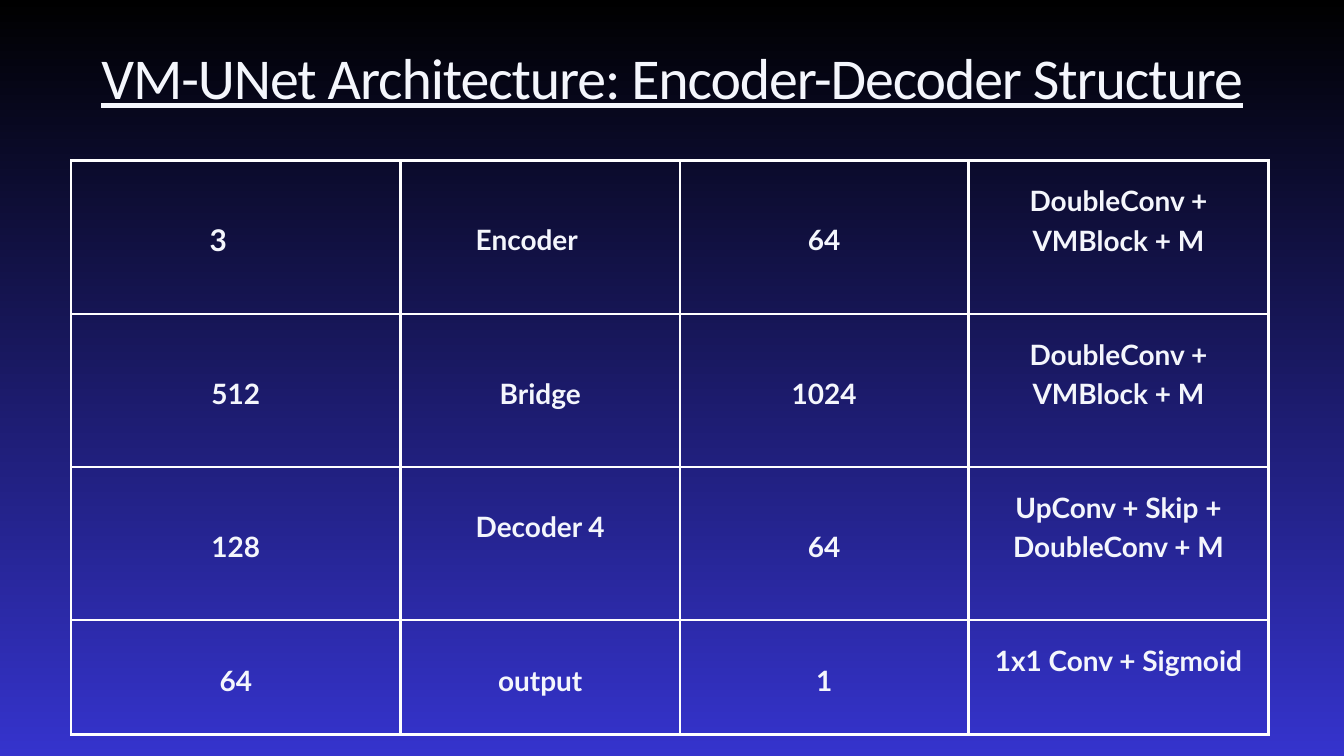
import dataclasses

import lxml.etree
import pptx
import pptx.dml.color
import pptx.enum.text
import pptx.oxml.ns
import pptx.util

Inches = pptx.util.Inches
Pt = pptx.util.Pt
RGB = pptx.dml.color.RGBColor.from_string
CENTER = pptx.enum.text.PP_ALIGN.CENTER
LEFT = pptx.enum.text.PP_ALIGN.LEFT


@dataclasses.dataclass(frozen=True)
class Theme:
    top: str = "000000"
    bottom: str = "3533CD"
    text: str = "F4F6FC"
    border: str = "FFFFFF"
    border_width: float = 2.9
    title_font: str = "Calibri"
    title_size: float = 61.9
    title_leading: float = 80.5
    title_tracking: float = -1.2
    cell_font: str = "Lato"
    cell_size: float = 30
    first_size: float = 32
    leading: float = 1.4
    inset: float = 0.2


THEME = Theme()
COLUMNS = [4.9, 4.16, 4.29, 4.47]
ROWS = [2.28, 2.28, 2.28, 1.7]
LAYERS = [
    ["3", "Encoder", "64", "DoubleConv + VMBlock + M"],
    ["512", "Bridge", "1024", "DoubleConv + VMBlock + M"],
    ["128", "Decoder 4", "64", "UpConv + Skip + DoubleConv + M"],
    ["64", "output", "1", "1x1 Conv + Sigmoid"],
]
# Left-aligned cells with their left margins, and cells whose text is raised
INDENTS = {(0, 0): 2.06, (0, 1): 1.12}
RAISED = {(2, 1)} | {(row, 3) for row in range(len(ROWS))}
RAISED_MARGIN = 0.78


def paint_background(page):
    fill = page.background.fill
    fill.gradient()
    fill.gradient_angle = 270
    for stop, color in zip(fill.gradient_stops, (THEME.top, THEME.bottom)):
        stop.color.rgb = RGB(color)
    fill.gradient_stops[0].position = 0
    fill.gradient_stops[1].position = 1


def style_paragraph(para, font, size, leading, align):
    para.alignment = align
    para.line_spacing = Pt(leading)
    para.font.name = font
    para.font.size = Pt(size)
    para.font.color.rgb = RGB(THEME.text)


def add_title(page, text, left, top, width, height):
    box = page.shapes.add_textbox(*map(Inches, (left, top, width, height)))
    frame = box.text_frame
    frame.word_wrap = True
    frame.margin_left = frame.margin_right = 0
    frame.margin_top = frame.margin_bottom = 0
    para = frame.paragraphs[0]
    style_paragraph(para, THEME.title_font, THEME.title_size,
                    THEME.title_leading, CENTER)
    para.font.underline = True
    span = para.add_run()
    span.text = text
    span._r.get_or_add_rPr().set("spc", str(round(THEME.title_tracking * 100)))


def add_borders(cell):
    # Border lines come before the fill in the cell properties
    properties = cell._tc.get_or_add_tcPr()
    qn = pptx.oxml.ns.qn
    for index, side in enumerate(("lnL", "lnR", "lnT", "lnB")):
        line = lxml.etree.Element(qn(f"a:{side}"),
                                  w=str(Pt(THEME.border_width)))
        solid = lxml.etree.SubElement(line, qn("a:solidFill"))
        lxml.etree.SubElement(solid, qn("a:srgbClr"), val=THEME.border)
        properties.insert(index, line)


def fill_cell(cell, text, place):
    cell.fill.background()
    add_borders(cell)
    cell.vertical_anchor = pptx.enum.text.MSO_ANCHOR.MIDDLE
    cell.margin_left = Inches(INDENTS.get(place, THEME.inset))
    cell.margin_right = cell.margin_top = Inches(THEME.inset)
    cell.margin_bottom = Inches(RAISED_MARGIN if place in RAISED
                                else THEME.inset)
    size = THEME.first_size if place == (0, 0) else THEME.cell_size
    para = cell.text_frame.paragraphs[0]
    style_paragraph(para, THEME.cell_font, size, size * THEME.leading,
                    LEFT if place in INDENTS else CENTER)
    para.font.bold = True
    para.add_run().text = text


def add_layer_table(page, left, top, width, height):
    table = page.shapes.add_table(
        len(ROWS), len(COLUMNS), *map(Inches, (left, top, width, height))).table
    table.first_row = table.horz_banding = False
    for column, size in zip(table.columns, COLUMNS):
        column.width = Inches(size)
    for row, size in zip(table.rows, ROWS):
        row.height = Inches(size)
    for row, layer in enumerate(LAYERS):
        for column, text in enumerate(layer):
            fill_cell(table.cell(row, column), text, (row, column))


def main():
    deck = pptx.Presentation()
    deck.slide_width, deck.slide_height = Inches(20), Inches(11.25)
    page = deck.slides.add_slide(deck.slide_layouts[6])
    paint_background(page)
    add_layer_table(page, 1.06, 2.39, sum(COLUMNS), sum(ROWS))
    add_title(page, "VM-UNet Architecture: Encoder-Decoder Structure",
              -1.09, 0.54, 22.18, 1.1)
    deck.save("out.pptx")


if __name__ == "__main__":
    main()
